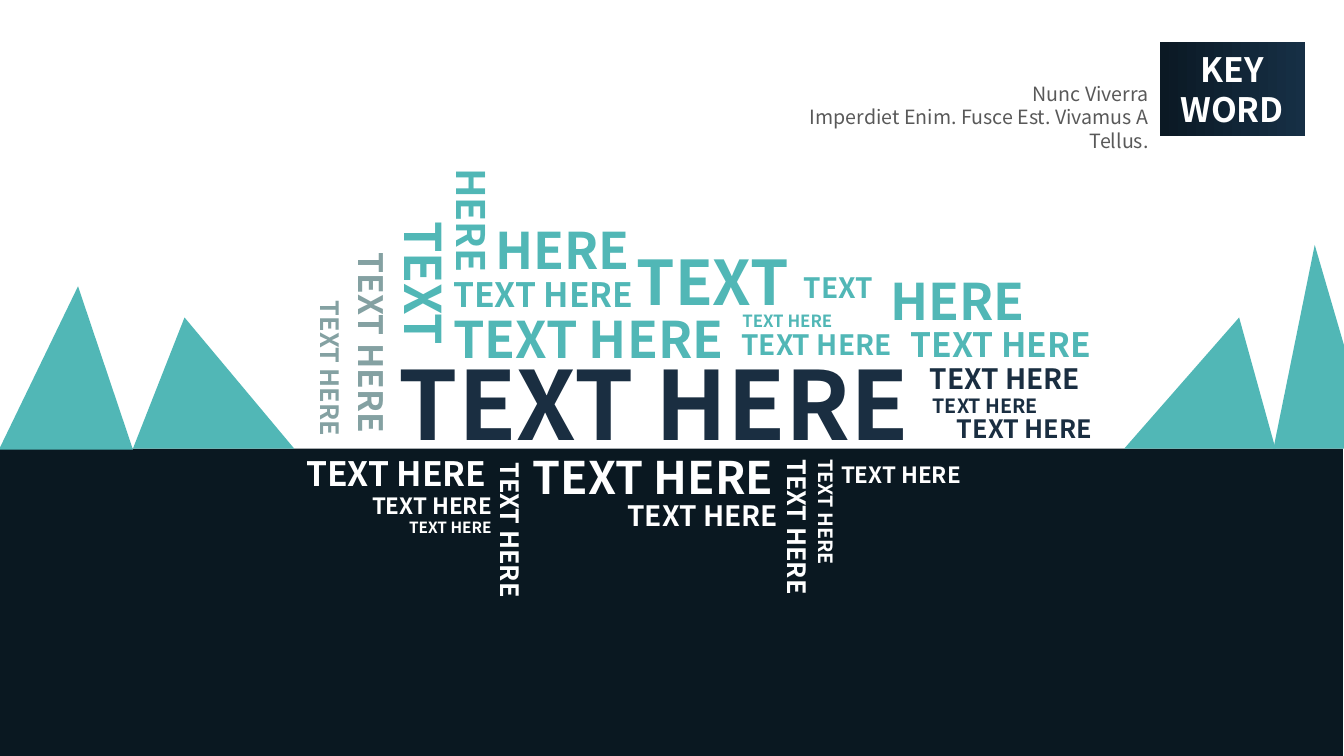
"""Build a keyword slide: a word cloud over a dark ground between mountains."""
import pptx
import pptx.dml.color
import pptx.enum.shapes
import pptx.enum.text
import pptx.util

Inches = pptx.util.Inches
SHAPE = pptx.enum.shapes.MSO_SHAPE
ALIGN = pptx.enum.text.PP_ALIGN
FONT = "Noto Sans CJK SC"
TEAL, NAVY, GREY, WHITE = "51B7B6", "1A2E41", "84A1A2", "FFFFFF"


def rgb(value):
    """Return the colour for a hex string."""
    return pptx.dml.color.RGBColor.from_string(value)


def write(sp, lines, size, color, align, bold=True):
    """Put the lines into a shape, one paragraph each."""
    tf = sp.text_frame
    tf.word_wrap = True
    tf.text = "\n".join(lines)
    for p in tf.paragraphs:
        p.alignment = align
        p.font.name = FONT
        p.font.size = pptx.util.Pt(size)
        p.font.bold = bold
        p.font.color.rgb = rgb(color)
    return tf


prs = pptx.Presentation()
prs.slide_width, prs.slide_height = Inches(13.34), Inches(7.5)
s = prs.slides.add_slide(prs.slide_layouts[6])

blocks = [
    (SHAPE.RECTANGLE, 0, 4.45, 13.33, 3.05, "0A1821", None),
    (SHAPE.ISOSCELES_TRIANGLE, -0.01, 2.84, 1.33, 1.62, TEAL, 0.59),
    (SHAPE.ISOSCELES_TRIANGLE, 1.32, 3.15, 1.6, 1.3, TEAL, 0.32),
    (SHAPE.ISOSCELES_TRIANGLE, 12.64, 2.43, 1, 2.02, TEAL, 0.41),
    (SHAPE.ISOSCELES_TRIANGLE, 11.16, 3.15, 1.5, 1.3, TEAL, 0.76),
]
for kind, left, top, width, height, color, peak in blocks:
    sp = s.shapes.add_shape(kind, Inches(left), Inches(top), Inches(width), Inches(height))
    sp.shadow.inherit = False
    sp.fill.solid()
    sp.fill.fore_color.rgb = rgb(color)
    sp.line.fill.background()
    if peak is not None:
        sp.adjustments[0] = peak

badge = s.shapes.add_shape(SHAPE.RECTANGLE, Inches(11.51), Inches(0.42), Inches(1.44), Inches(0.93))
badge.shadow.inherit = False
badge.line.fill.background()
badge.fill.gradient()
badge.fill.gradient_angle = 0
for stop, color, position in zip(badge.fill.gradient_stops, ("0B1924", "162F45"), (0, 1)):
    stop.color.rgb = rgb(color)
    stop.position = position
tf = write(badge, ["KEY", "WORD"], 24, WHITE, ALIGN.CENTER)
tf.vertical_anchor = pptx.enum.text.MSO_ANCHOR.MIDDLE

caption = s.shapes.add_textbox(Inches(7.6), Inches(0.76), Inches(3.9), Inches(0.8))
write(caption, ["Nunc Viverra", "Imperdiet Enim. Fusce Est. Vivamus A Tellus."],
      14, "595959", ALIGN.RIGHT, bold=False)

L, R = ALIGN.LEFT, ALIGN.RIGHT
words = [
    ("TEXT HERE", 3.86, 3.38, 5.81, 68, NAVY, 0, L),
    ("TEXT HERE", 4.4, 3.01, 3.21, 36, TEAL, 0, L),
    ("TEXT", 3.3, 2.66, 1.83, 36, TEAL, 90, L),
    ("HERE", 4.06, 1.91, 1.25, 28, TEAL, 90, L),
    ("TEXT HERE", 2.58, 3.27, 2.22, 24, GREY, 90, L),
    ("TEXT HERE", 2.47, 3.42, 1.61, 18, GREY, 90, R),
    ("TEXT HERE", 4.4, 2.67, 2.12, 24, TEAL, 0, L),
    ("TEXT", 6.22, 2.37, 1.83, 44, TEAL, 0, L),
    ("TEXT", 7.88, 2.63, 0.91, 20, TEAL, 0, L),
    ("TEXT HERE", 7.26, 3.2, 1.83, 20, TEAL, 0, L),
    ("TEXT HERE", 7.27, 3.03, 1.83, 12, TEAL, 0, L),
    ("HERE", 4.82, 2.12, 1.55, 36, TEAL, 0, L),
    ("TEXT HERE", 8.94, 3.16, 2.38, 24, TEAL, 0, L),
    ("HERE", 8.74, 2.63, 1.55, 36, TEAL, 0, L),
    ("TEXT HERE", 9.13, 3.54, 1.83, 20, NAVY, 0, L),
    ("TEXT HERE", 9.16, 3.86, 1.83, 14, NAVY, 0, L),
    ("TEXT HERE", 9.4, 4.05, 1.83, 18, NAVY, 0, L),
    ("TEXT HERE", 2.94, 4.44, 2.2, 24, WHITE, 0, L),
    ("TEXT HERE", 5.19, 4.41, 2.73, 32, WHITE, 0, L),
    ("TEXT HERE", 3.97, 5.39, 2.2, 18, WHITE, 90, L),
    ("TEXT HERE", 5.09, 4.9, 2.73, 20, WHITE, 0, R),
    ("TEXT HERE", 6.82, 5.36, 2.2, 18, WHITE, 90, L),
    ("TEXT HERE", 7.1, 5.39, 2.2, 14, WHITE, 90, L),
    ("TEXT HERE", 8.25, 4.53, 1.56, 16, WHITE, 0, L),
    ("TEXT HERE", 3.49, 4.83, 1.49, 16, WHITE, 0, R),
    ("TEXT HERE", 3.49, 5.09, 1.49, 11, WHITE, 0, R),
]
for text, left, top, width, size, color, rotation, align in words:
    height = 0.1 + size / 60
    sp = s.shapes.add_textbox(Inches(left), Inches(top), Inches(width), Inches(height))
    sp.rotation = rotation
    tf = write(sp, [text], size, color, align)
    tf.auto_size = pptx.enum.text.MSO_AUTO_SIZE.SHAPE_TO_FIT_TEXT

prs.save("out.pptx")
